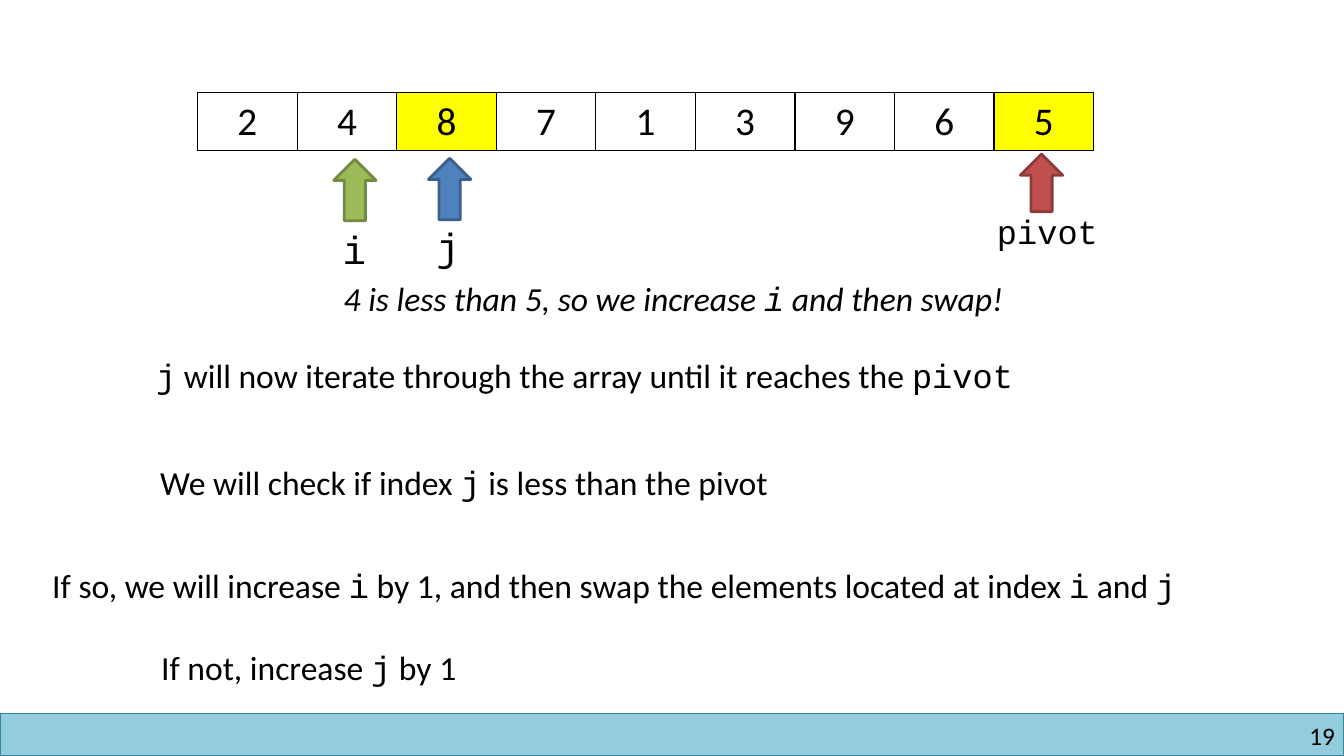
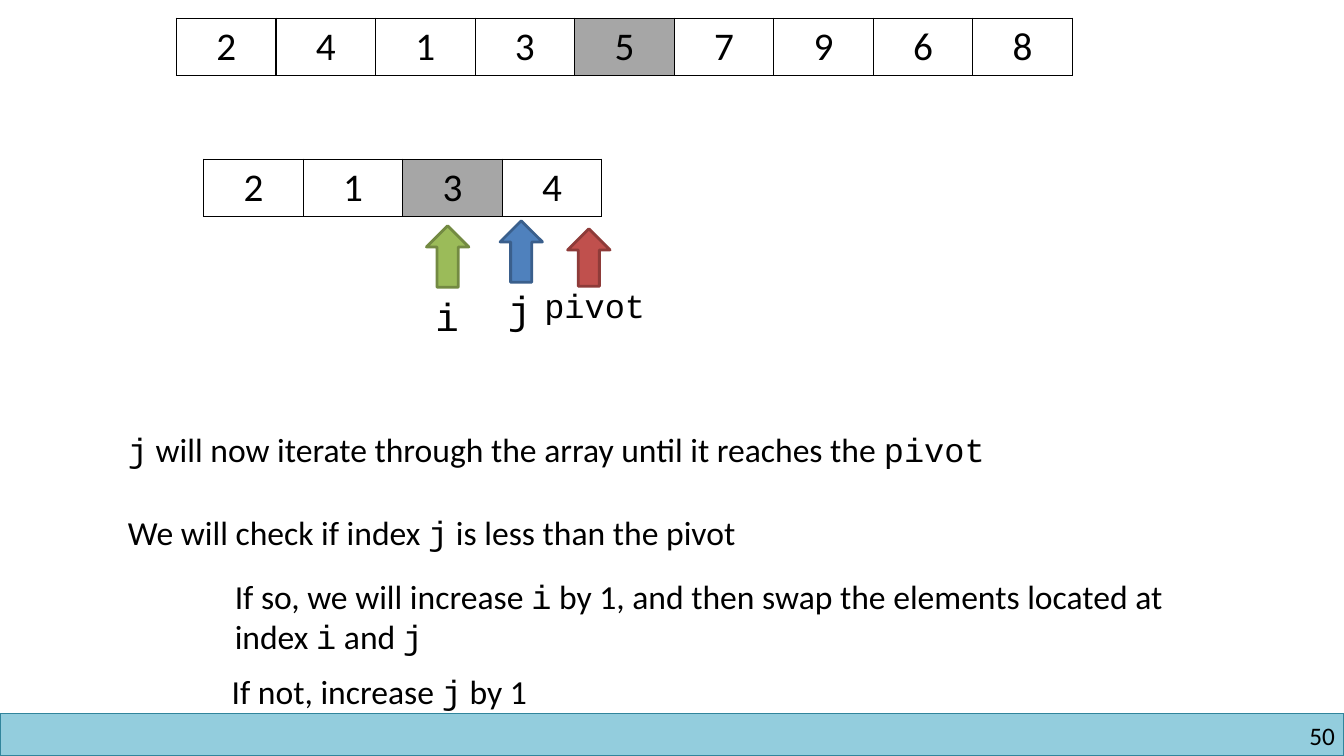
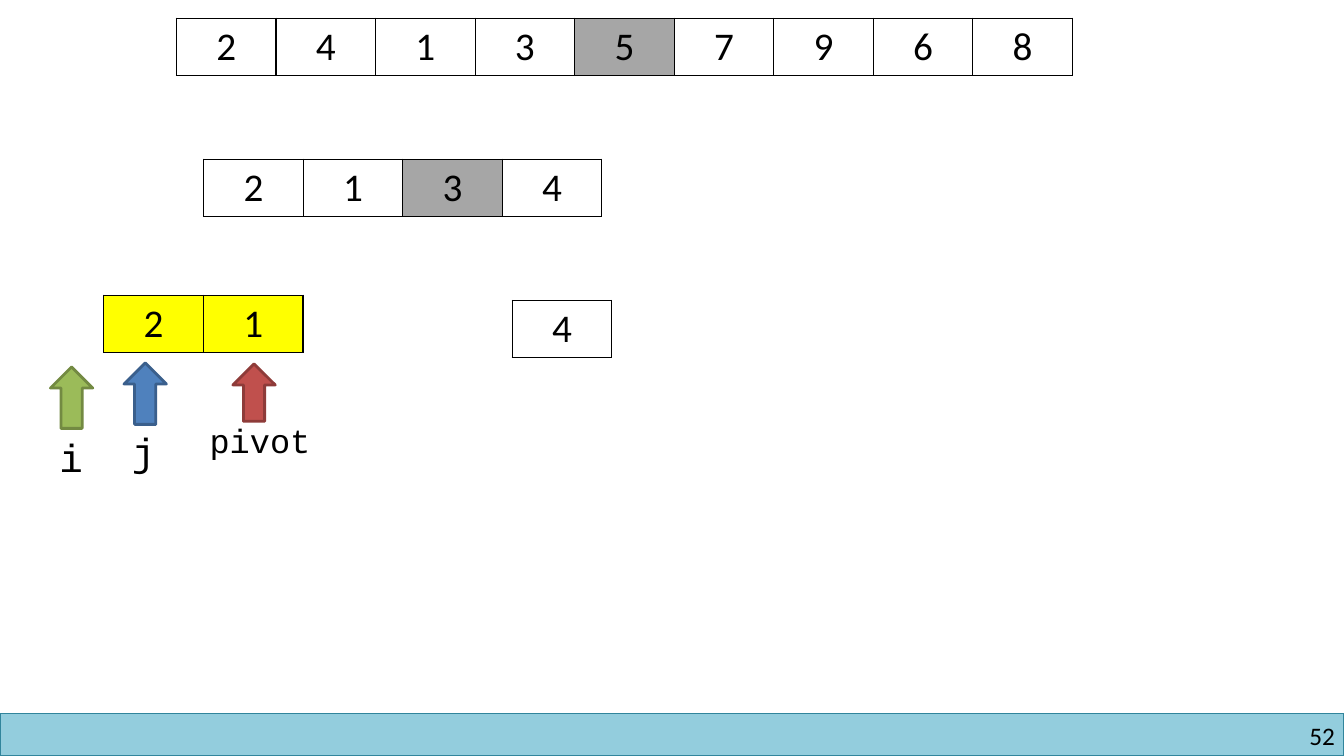
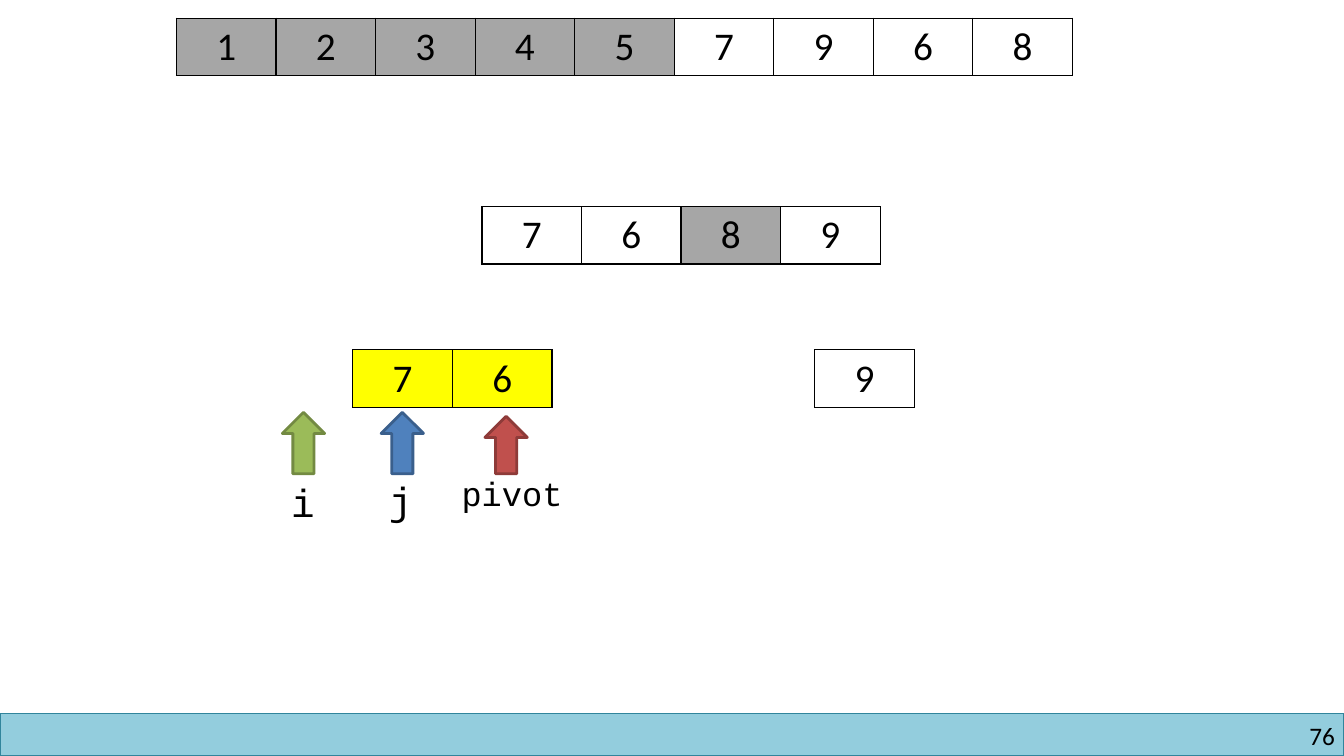
from lxml.etree import fromstring
from pptx import Presentation
from pptx.dml.color import RGBColor
from pptx.enum.shapes import MSO_SHAPE
from pptx.enum.text import PP_ALIGN
from pptx.util import Inches, Pt

BLACK = RGBColor(0x00, 0x00, 0x00)
WHITE = RGBColor(0xFF, 0xFF, 0xFF)
YELLOW = RGBColor(0xFF, 0xFF, 0x00)
GRAY = RGBColor(0xA6, 0xA6, 0xA6)
BAND_FILL = RGBColor(0x93, 0xCD, 0xDD)
BAND_LINE = RGBColor(0x31, 0x85, 0x9C)
RED = RGBColor(0xC0, 0x50, 0x4D)
DARK_RED = RGBColor(0x8E, 0x3B, 0x39)
BLUE = RGBColor(0x4F, 0x81, 0xBD)
DARK_BLUE = RGBColor(0x3A, 0x5F, 0x8C)
GREEN = RGBColor(0x9B, 0xBB, 0x59)
DARK_GREEN = RGBColor(0x73, 0x8A, 0x42)

TEXT_FONT = "Calibri"
CODE_FONT = "Courier New"
CELL_WIDTH = 0.9875
CELL_HEIGHT = 0.57
DRAWING_NS = "http://schemas.openxmlformats.org/drawingml/2006/main"
BORDER = (
    '<a:{side} xmlns:a="{ns}" w="12700"><a:solidFill><a:srgbClr val="{color}"/>'
    "</a:solidFill></a:{side}>"
)

# name: fill, line, arrow height, label offset, label width, label size
POINTERS = {
    "pivot": (RED, DARK_RED, 0.57, (-0.33, 0.51), 1.3, 24),
    "j": (BLUE, DARK_BLUE, 0.61, (-0.02, 0.59), 0.46, 28),
    "i": (GREEN, DARK_GREEN, 0.61, (-0.01, 0.61), 0.46, 28),
}

# Backticks enclose code
ITERATE = "`j` will now iterate through the array until it reaches the `pivot`"
CHECK = "We will check if index `j` is less than the pivot"
SWAP = (
    "If so, we will increase `i` by 1, and then swap the elements "
    "located at index `i` and `j`"
)
SKIP = "If not, increase `j` by 1"
INCREASE = "4 is less than 5, so we increase `i` and then swap!"

# Arrays: left, top, digits, cell colours. Notes: left, top, width, text, italic
FIRST_SPLIT = (1.75, 0.18, "241357968", {4: GRAY})
LEFT_SPLIT = (2.02, 1.58, "2134", {2: GRAY})
SLIDES = [
    {
        "number": "19",
        "arrays": [(1.96, 0.92, "248713965", {2: YELLOW, 8: YELLOW})],
        "pointers": {"pivot": (10.12, 1.53), "j": (4.25, 1.57), "i": (3.31, 1.58)},
        "notes": [
            (1.45, 3.47, 9.29, ITERATE, False),
            (1.49, 4.53, 6.84, CHECK, False),
            (0.42, 5.56, 12.5, SWAP, False),
            (1.5, 6.37, 3.43, SKIP, False),
            (3.31, 2.71, 7.55, INCREASE, True),
        ],
    },
    {
        "number": "50",
        "arrays": [FIRST_SPLIT, LEFT_SPLIT],
        "pointers": {"pivot": (5.63, 2.27), "j": (4.96, 2.19), "i": (4.23, 2.24)},
        "notes": [
            (1.17, 4.21, 9.29, ITERATE, False),
            (1.17, 5.03, 6.84, CHECK, False),
            (2.23, 5.66, 10.19, SWAP, False),
            (2.2, 6.61, 3.43, SKIP, False),
        ],
    },
    {
        "number": "52",
        "arrays": [
            FIRST_SPLIT,
            LEFT_SPLIT,
            (1.03, 2.93, "21", {0: YELLOW, 1: YELLOW}),
            (5.08, 2.98, "4", {}),
        ],
        "pointers": {"pivot": (2.31, 3.61), "j": (1.23, 3.6), "i": (0.5, 3.64)},
        "notes": [],
    },
    {
        "number": "76",
        "arrays": [
            (1.75, 0.18, "123457968", dict.fromkeys(range(5), GRAY)),
            (4.78, 2.05, "7689", {2: GRAY}),
            (3.5, 3.47, "76", {0: YELLOW, 1: YELLOW}),
            (8.08, 3.47, "9", {}),
        ],
        "pointers": {"pivot": (4.81, 4.13), "j": (3.78, 4.09), "i": (2.8, 4.09)},
        "notes": [],
    },
]


def write(frame, text, size=24, align=PP_ALIGN.LEFT, italic=False):
    """Fill a text frame; parts between backticks get the code font."""
    frame.word_wrap = True
    para = frame.paragraphs[0]
    para.alignment = align
    for index, part in enumerate(text.split("`")):
        if part:
            span = para.add_run()
            span.text = part
            span.font.name = CODE_FONT if index % 2 else TEXT_FONT
            span.font.size = Pt(size)
            span.font.italic = italic
            span.font.color.rgb = BLACK


def add_solid(page, kind, bounds, fill, line, line_width):
    shape = page.shapes.add_shape(kind, *map(Inches, bounds))
    shape.shadow.inherit = False
    shape.fill.solid()
    shape.fill.fore_color.rgb = fill
    shape.line.color.rgb = line
    shape.line.width = Pt(line_width)


deck = Presentation()
deck.slide_width = Inches(13.33)
deck.slide_height = Inches(7.5)

for content in SLIDES:
    page = deck.slides.add_slide(deck.slide_layouts[6])

    add_solid(page, MSO_SHAPE.RECTANGLE, (0, 7.08, 13.33, 0.42), BAND_FILL, BAND_LINE, 1)
    box = page.shapes.add_textbox(Inches(10.17), Inches(7.15), Inches(3.07), Inches(0.3))
    frame = box.text_frame
    frame.margin_left = frame.margin_right = frame.margin_top = frame.margin_bottom = 0
    write(frame, content["number"], size=18, align=PP_ALIGN.RIGHT)

    for left, top, digits, colors in content["arrays"]:
        table = page.shapes.add_table(
            1, len(digits), Inches(left), Inches(top),
            Inches(CELL_WIDTH * len(digits)), Inches(CELL_HEIGHT),
        ).table
        table.first_row = table.horz_banding = False
        for column, digit in enumerate(digits):
            table.columns[column].width = Inches(CELL_WIDTH)
            cell = table.cell(0, column)
            cell.fill.solid()
            cell.fill.fore_color.rgb = colors.get(column, WHITE)
            write(cell.text_frame, digit, size=28, align=PP_ALIGN.CENTER)
            properties = cell._tc.get_or_add_tcPr()
            for position, side in enumerate(("lnL", "lnR", "lnT", "lnB")):
                border = BORDER.format(side=side, ns=DRAWING_NS, color=BLACK)
                properties.insert(position, fromstring(border))

    for name, (left, top) in content["pointers"].items():
        fill, line, height, (shift, drop), width, size = POINTERS[name]
        add_solid(page, MSO_SHAPE.UP_ARROW, (left, top, 0.42, height), fill, line, 2)
        label = page.shapes.add_textbox(
            Inches(left + shift), Inches(top + drop), Inches(width), Inches(0.5)
        )
        write(label.text_frame, f"`{name}`", size=size)

    for left, top, width, text, italic in content["notes"]:
        note = page.shapes.add_textbox(Inches(left), Inches(top), Inches(width), Inches(0.5))
        write(note.text_frame, text, italic=italic)

deck.save("out.pptx")
